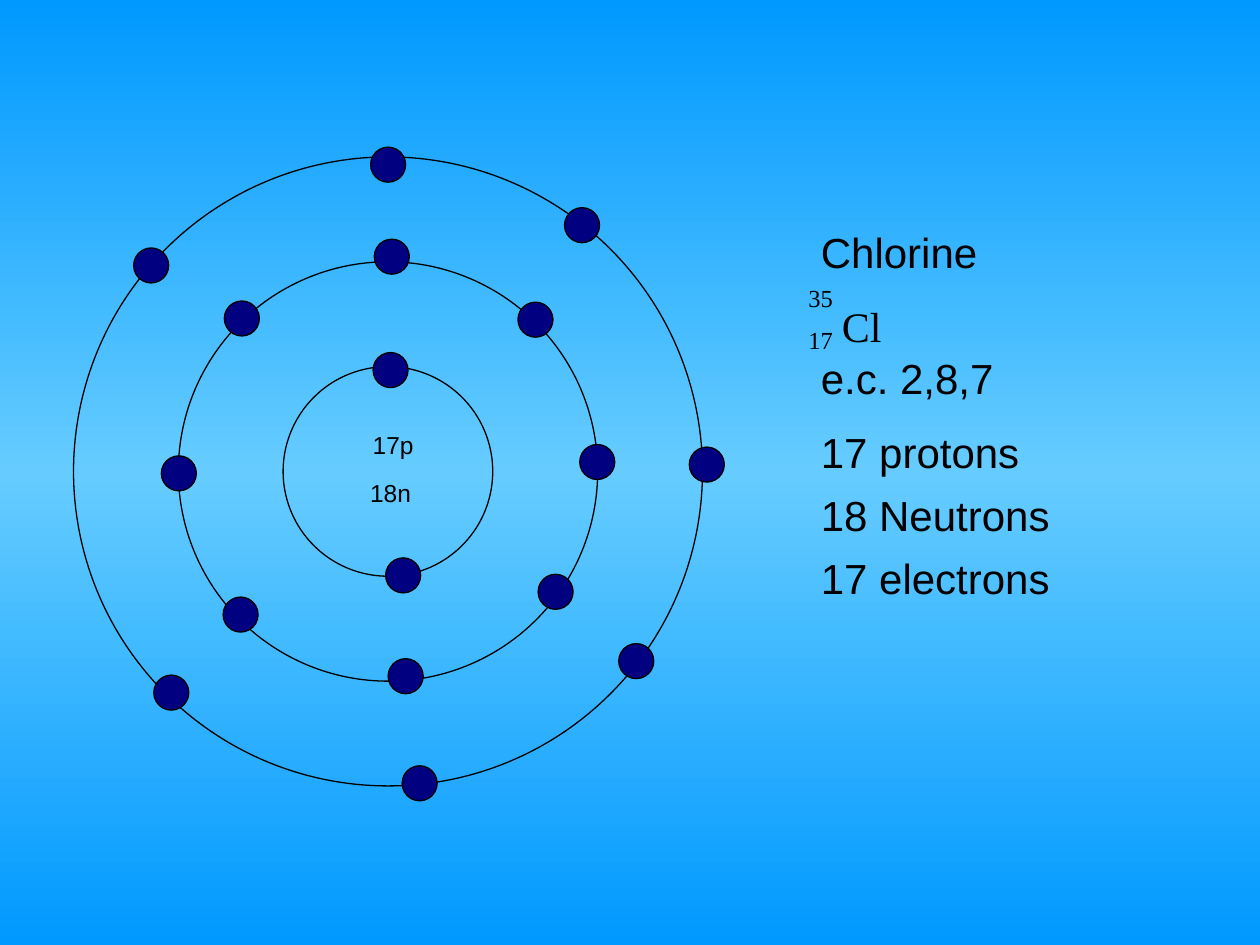
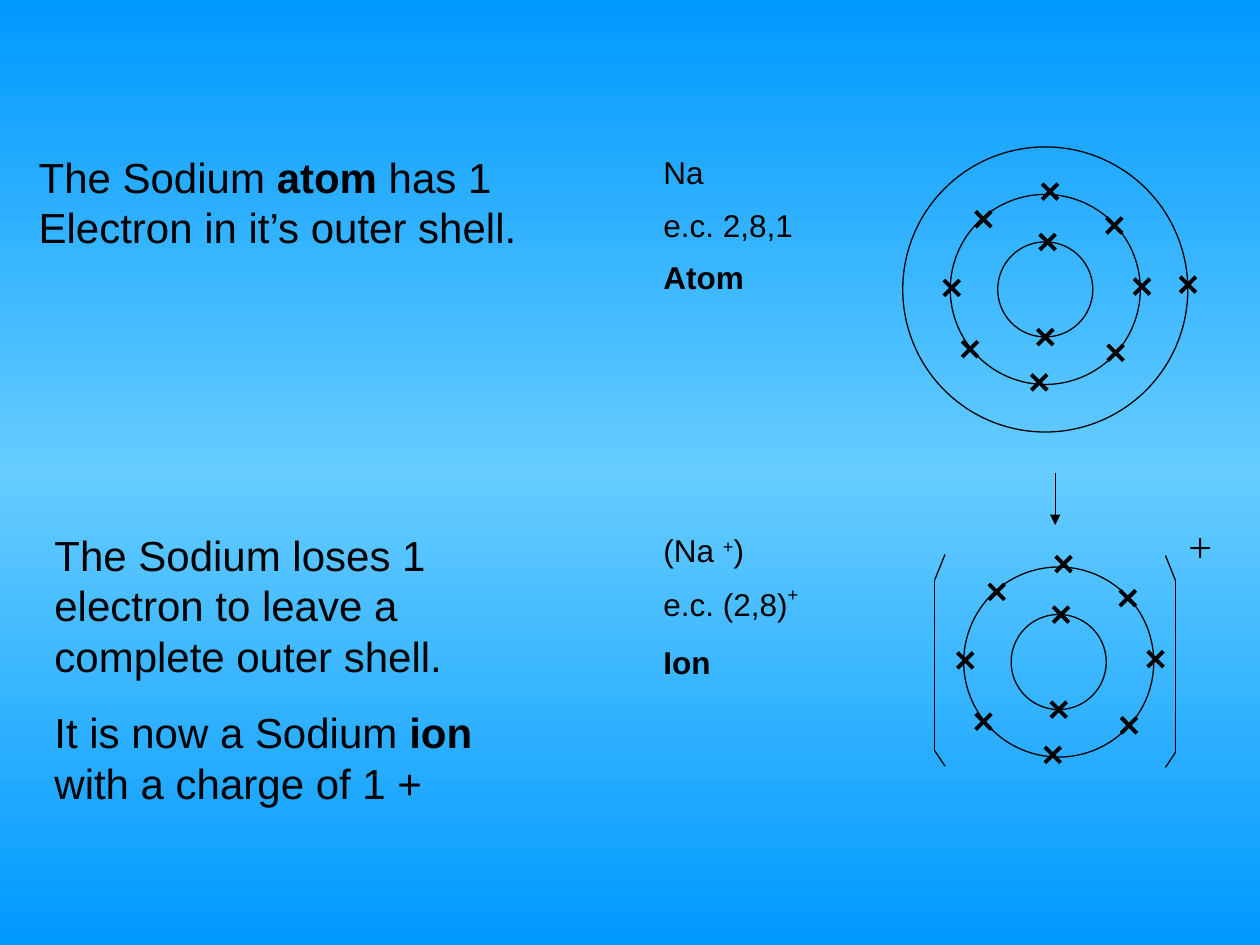
from copy import deepcopy
from itertools import pairwise

from lxml.etree import SubElement
from pptx import Presentation
from pptx.dml.color import RGBColor
from pptx.enum.shapes import MSO_CONNECTOR as Connector, MSO_SHAPE as Preset
from pptx.enum.text import MSO_AUTO_SIZE as AutoSize
from pptx.oxml.ns import qn
from pptx.util import Pt

COLORS = {"edge": "0099FF", "middle": "66CCFF", "ink": "000000", "electron": "000080"}
SANS, SERIF = "Arial", "Times New Roman"
THIN, BOLD_LINE = 0.75, 2.25
DOT_SIZE, CROSS_REACH = 20, 4.5

# Electron offsets from the nucleus, shell by shell
CHLORINE_ELECTRONS = [
    (8.7, 59.4), (1.5, -57.9),
    (-84.2, 81.8), (95.8, 68.8), (84.3, -86.7), (-119.5, 1.1),
    (119.6, -5.4), (2.2, -122.7), (10.1, 117), (-83.5, -87.4),
    (0.1, -175.3), (110.9, -140.7), (182.2, -3.9), (141.9, 108.4),
    (18.1, 178.2), (-123.8, 126.4), (-135.3, -117.7),
]
SODIUM_ION_ELECTRONS = [
    (0, 27.2), (1.3, -27.1),
    (-43, 34.1), (-35.4, -40.1), (39.5, -36.5), (40.2, 36.2),
    (-53.4, -0.9), (55.3, -1.6), (2.7, -55.9), (-3.4, 53.1),
]
SODIUM_ELECTRONS = SODIUM_ION_ELECTRONS + [(81.6, -2.7)]


def color(name):
    return RGBColor.from_string(COLORS[name])


def set_background(master):
    """Vertical gradient, lightest half way down."""
    fill = master.background.fill
    fill.gradient()
    fill.gradient_angle = 90
    first = fill._fill._gradFill.gsLst[0]
    first.addnext(deepcopy(first))
    for stop, position, name in zip(fill.gradient_stops, (0, 0.5, 1), ("edge", "middle", "edge")):
        stop.position = position
        stop.color.rgb = color(name)


def add_text(shapes, left, top, width, height, *paragraphs, size=24, font=SANS, inset=True):
    """Each paragraph is a string or a list of (text, style); style is bold or a raise in %."""
    box = shapes.add_textbox(Pt(left), Pt(top), Pt(width), Pt(height))
    frame = box.text_frame
    frame.word_wrap = True
    frame.auto_size = AutoSize.SHAPE_TO_FIT_TEXT
    if not inset:
        frame.margin_left = frame.margin_right = frame.margin_top = frame.margin_bottom = 0
    for index, content in enumerate(paragraphs):
        paragraph = frame.add_paragraph() if index else frame.paragraphs[0]
        if index:
            paragraph.space_before = Pt(15)
        for text, style in [(content, None)] if isinstance(content, str) else content:
            run = paragraph.add_run()
            run.text = text
            run.font.size, run.font.name = Pt(size), font
            run.font.color.rgb = color("ink")
            if style == "bold":
                run.font.bold = True
            elif style:
                run._r.get_or_add_rPr().set("baseline", str(style * 1000))


def add_circle(shapes, x, y, diameter, fill=None):
    corner = Pt(x - diameter / 2), Pt(y - diameter / 2)
    circle = shapes.add_shape(Preset.OVAL, *corner, Pt(diameter), Pt(diameter))
    circle.shadow.inherit = False
    circle.line.color.rgb = color("ink")
    circle.line.width = Pt(THIN)
    if fill:
        circle.fill.solid()
        circle.fill.fore_color.rgb = color(fill)
    else:
        circle.fill.background()


def add_line(shapes, start, end, width=THIN, arrow=False):
    line = shapes.add_connector(Connector.STRAIGHT, *map(Pt, start + end))
    line.line.color.rgb = color("ink")
    line.line.width = Pt(width)
    if arrow:
        SubElement(line.line._get_or_add_ln(), qn("a:tailEnd"), type="triangle")
    SubElement(line._element.spPr, qn("a:effectLst"))


def add_dot(shapes, x, y):
    add_circle(shapes, x, y, DOT_SIZE, "electron")


def add_cross(shapes, x, y):
    for reach in (CROSS_REACH, -CROSS_REACH):
        add_line(shapes, (x - CROSS_REACH, y - reach), (x + CROSS_REACH, y + reach), BOLD_LINE)


def add_atom(slide, center, shell_step, shell_count, electrons, add_electron):
    """Concentric shells with their electrons; returns the group's shapes."""
    shapes = slide.shapes.add_group_shape().shapes
    x, y = center
    for shell in range(1, shell_count + 1):
        add_circle(shapes, x, y, 2 * shell * shell_step)
    for right, down in electrons:
        add_electron(shapes, x + right, y + down)
    return shapes


def add_bracket(shapes, tip, side, top):
    points = [(tip, top), (side, top + 14.4), (side, top + 112.3), (tip, top + 121)]
    for start, end in pairwise(points):
        add_line(shapes, start, end)


def build_chlorine(slide):
    # Facts
    facts = {"Chlorine": 126, "e.c. 2,8,7": 198, "17 protons": 240,
             "18 Neutrons": 276, "17 electrons": 312}
    for text, top in facts.items():
        add_text(slide.shapes, 462, top, 186, 36, text)

    # Symbol with mass and atomic number
    add_text(slide.shapes, 474, 168, 40, 36, "Cl", font=SERIF)
    for text, top in (("35", 162), ("17", 186)):
        add_text(slide.shapes, 462, top, 18, 17, text, size=14, font=SERIF, inset=False)

    # Nucleus
    for text, left, top in (("17p", 213, 246), ("18n", 211.5, 273)):
        add_text(slide.shapes, left, top, 24, 17, text, size=14, inset=False)
    add_atom(slide, (221.7, 269.4), 59.9, 3, CHLORINE_ELECTRONS, add_dot)


def build_sodium(slide):
    shapes = slide.shapes
    add_line(shapes, (330, 270), (330, 270))

    # Labels of atom and ion
    labels = [
        (84, "Na"), (114, "e.c. 2,8,1"), (144, [("Atom", "bold")]),
        (300, [("(Na ", None), ("+", 30), (")", None)]),
        (330, [("e.c. (2,8)", None), ("+", 46)]),
        (364, [("Ion", "bold")]),
    ]
    for top, content in labels:
        add_text(shapes, 372, top, 120, 29, content, size=18)

    # Explanations
    add_text(shapes, 24, 299, 276, 166,
             "The Sodium loses 1 electron to leave a complete outer shell.",
             [("It is now a Sodium ", None), ("ion", "bold"), (" with a charge of 1 +", None)])
    add_text(shapes, 15, 83, 315, 65,
             [("The Sodium ", None), ("atom", "bold"),
              (" has 1 Electron in it’s outer shell.", None)])

    # Atom, arrow, ion in brackets
    add_line(shapes, (603, 270), (603, 300), arrow=True)
    add_atom(slide, (597.3, 165.4), 27.15, 3, SODIUM_ELECTRONS, add_cross)
    ion = add_atom(slide, (605, 378.3), 27.15, 2, SODIUM_ION_ELECTRONS, add_cross)
    add_bracket(ion, 540, 534.2, 316.8)
    add_bracket(ion, 666, 671.8, 317.5)
    add_text(ion, 672, 294, 30, 36, "+", font=SERIF)


def main():
    presentation = Presentation()
    presentation.slide_width, presentation.slide_height = Pt(720), Pt(540)
    set_background(presentation.slide_master)
    blank = presentation.slide_layouts[6]
    for build in (build_chlorine, build_sodium):
        build(presentation.slides.add_slide(blank))
    presentation.save("out.pptx")


if __name__ == "__main__":
    main()
